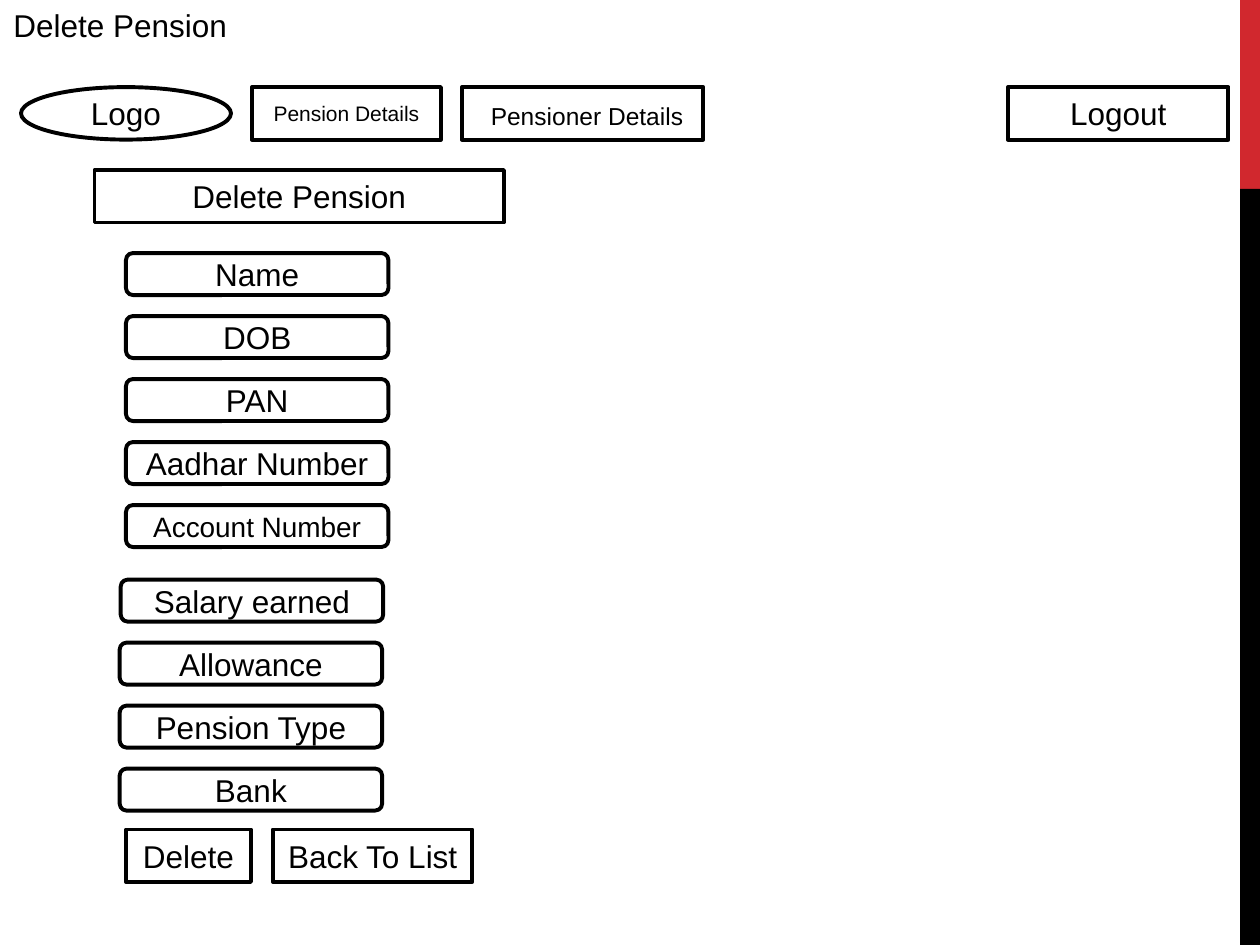
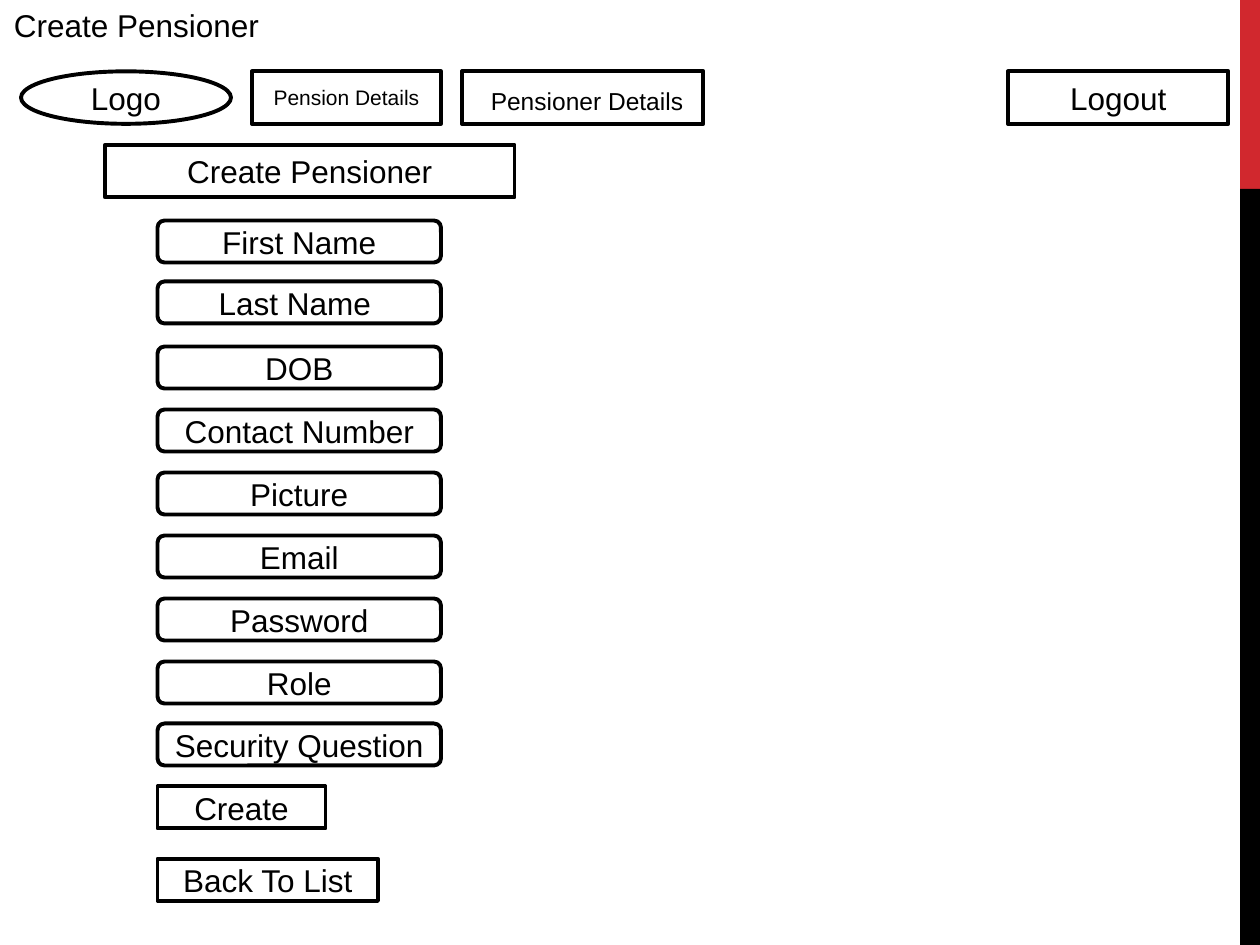
"""Build two pension screen wireframes on a grid of 120 columns by 90 rows."""
from dataclasses import dataclass

from pptx import Presentation
from pptx import util as u
from pptx.dml.color import RGBColor
from pptx.enum import shapes, text

BLACK = RGBColor(0x00, 0x00, 0x00)
WHITE = RGBColor(0xFF, 0xFF, 0xFF)
RED = RGBColor(0xD1, 0x28, 0x2E)
FONT = "Arial"
COLS, ROWS = 120, 90
WIDTH, HEIGHT = u.Inches(10), u.Inches(7.5)
BAND_COL, BAND_SPLIT = 118.1, 18
FIELD_ROWS, FIELD_STEP, BUTTON_ROWS = 4, 6, 5

RECT = shapes.MSO_SHAPE.RECTANGLE
ROUND = shapes.MSO_SHAPE.ROUNDED_RECTANGLE
OVAL = shapes.MSO_SHAPE.OVAL


@dataclass(frozen=True)
class Box:
    """A labelled outline, placed in grid columns and rows."""
    label: str
    col: float
    row: float
    cols: float
    rows: float = BUTTON_ROWS
    kind: shapes.MSO_SHAPE = RECT
    size: int = 18
    lead: str = ""


@dataclass(frozen=True)
class FieldGroup:
    """Equally spaced form fields sharing a left edge and width."""
    labels: tuple[str, ...]
    col: float
    row: float
    cols: float

    def boxes(self) -> list[Box]:
        """Return one rounded box for each label."""
        return [Box(label, self.col, self.row + i * FIELD_STEP, self.cols, FIELD_ROWS, ROUND,
                    16 if label == "Account Number" else 18)
                for i, label in enumerate(self.labels)]


@dataclass(frozen=True)
class Screen:
    """One wireframe: its title, navigation row, heading, fields and buttons."""
    title: str
    title_cols: float
    nav_row: float
    heading_col: float
    heading_row: float
    groups: tuple[FieldGroup, ...]
    buttons: tuple[Box, ...]


SCREENS = (
    Screen("Delete Pension", 22.9, 8.3, 9, 16.2,
           (FieldGroup(("Name", "DOB", "PAN", "Aadhar Number", "Account Number"), 12, 24.1, 25),
            FieldGroup(("Salary earned",), 11.5, 55.2, 25),
            FieldGroup(("Allowance", "Pension Type", "Bank"), 11.4, 61.2, 25)),
           (Box("Delete", 12, 79, 11.9), Box("Back To List", 26, 79, 19))),
    Screen("Create Pensioner", 26, 6.8, 10, 13.8,
           (FieldGroup(("First Name",), 15, 21, 27),
            FieldGroup(("Last Name ",), 15, 26.8, 27),
            FieldGroup(("DOB", "Contact Number", "Picture", "Email", "Password", "Role"),
                       15, 33, 27),
            FieldGroup(("Security Question",), 15, 68.9, 27)),
           (Box("Create", 15, 74.9, 16, FIELD_ROWS),
            Box("Back To List", 15, 81.8, 21, FIELD_ROWS))),
)


def nav_boxes(row: float) -> list[Box]:
    """Return the navigation row shared by all screens."""
    return [Box("Logo", 2, row, 20, kind=OVAL),
            Box("Pension Details", 24, row, 18, size=12),
            Box("Logout", 96, row, 21),
            Box("Pensioner Details", 44, row, 23, size=14, lead=" ")]


def place(col: float, row: float, cols: float, rows: float) -> tuple[int, int, int, int]:
    """Convert grid units to left, top, width and height."""
    return (round(WIDTH * col / COLS), round(HEIGHT * row / ROWS),
            round(WIDTH * cols / COLS), round(HEIGHT * rows / ROWS))


def write(tf, label: str, *, size: int = 18, lead: str = "", wrap: bool = True,
          anchor=text.MSO_ANCHOR.MIDDLE) -> None:
    """Write one centred line, with an optional full-size lead run."""
    tf.word_wrap = wrap
    tf.vertical_anchor = anchor
    p = tf.paragraphs[0]
    p.alignment = text.PP_ALIGN.CENTER
    for run_text, run_size in ((lead, 18), (label, size)):
        if run_text:
            r = p.add_run()
            r.text = run_text
            r.font.name, r.font.size = FONT, u.Pt(run_size)
            r.font.color.rgb = BLACK


def add_shape(slide, kind, area: tuple[float, float, float, float], fill: RGBColor):
    """Add a flat, filled shape without a line."""
    sp = slide.shapes.add_shape(kind, *place(*area))
    sp.shadow.inherit = False
    sp.fill.solid()
    sp.fill.fore_color.rgb = fill
    sp.line.fill.background()
    return sp


def add_box(slide, box: Box) -> None:
    """Draw a labelled box with a black outline."""
    sp = add_shape(slide, box.kind, (box.col, box.row, box.cols, box.rows), WHITE)
    sp.line.color.rgb = BLACK
    sp.line.width = u.Pt(2.25)
    write(sp.text_frame, box.label, size=box.size, lead=box.lead)


def add_bands(slide) -> None:
    """Draw the two-colour band on the right edge."""
    for top, bottom, fill in ((0, BAND_SPLIT, RED), (BAND_SPLIT, ROWS, BLACK)):
        add_shape(slide, RECT, (BAND_COL, top, COLS - BAND_COL, bottom - top), fill)


def add_title(slide, screen: Screen) -> None:
    """Move the title placeholder to the top left corner and fill it."""
    sp = slide.shapes.title
    sp.left, sp.top, sp.width, sp.height = place(0, 0, screen.title_cols, 4.8)
    write(sp.text_frame, screen.title, wrap=False, anchor=text.MSO_ANCHOR.TOP)
    sp.text_frame.auto_size = text.MSO_AUTO_SIZE.SHAPE_TO_FIT_TEXT


def add_screen(prs, screen: Screen) -> None:
    """Add a slide that shows one screen."""
    slide = prs.slides.add_slide(prs.slide_layouts.get_by_name("Title Only"))
    add_bands(slide)
    add_title(slide, screen)
    heading = Box(screen.title, screen.heading_col, screen.heading_row, 39)
    fields = [box for group in screen.groups for box in group.boxes()]
    for box in (heading, *fields, *screen.buttons, *nav_boxes(screen.nav_row)):
        add_box(slide, box)


def main() -> None:
    """Build and save the presentation."""
    prs = Presentation()
    prs.slide_width, prs.slide_height = WIDTH, HEIGHT
    for screen in SCREENS:
        add_screen(prs, screen)
    prs.save("out.pptx")


if __name__ == "__main__":
    main()
